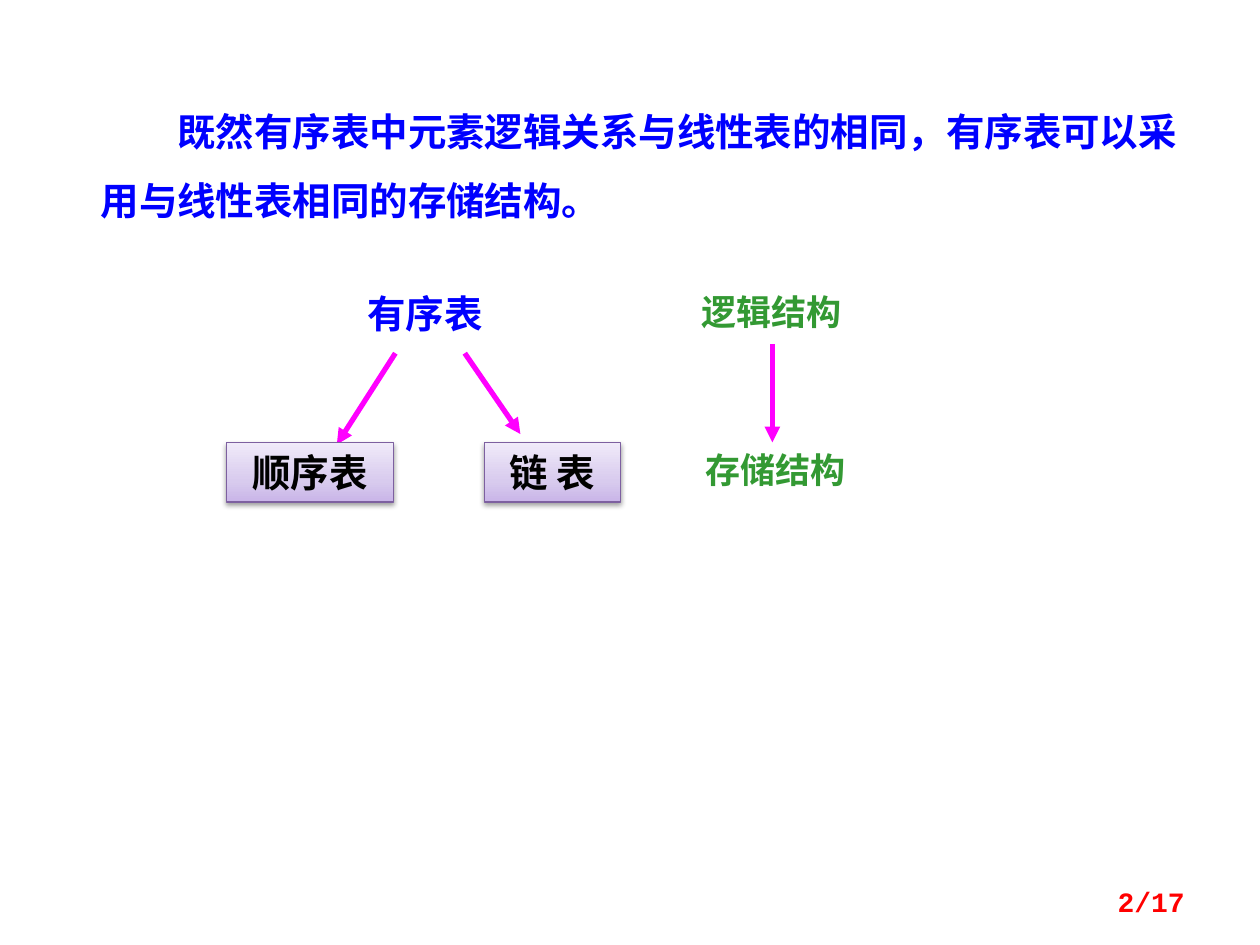
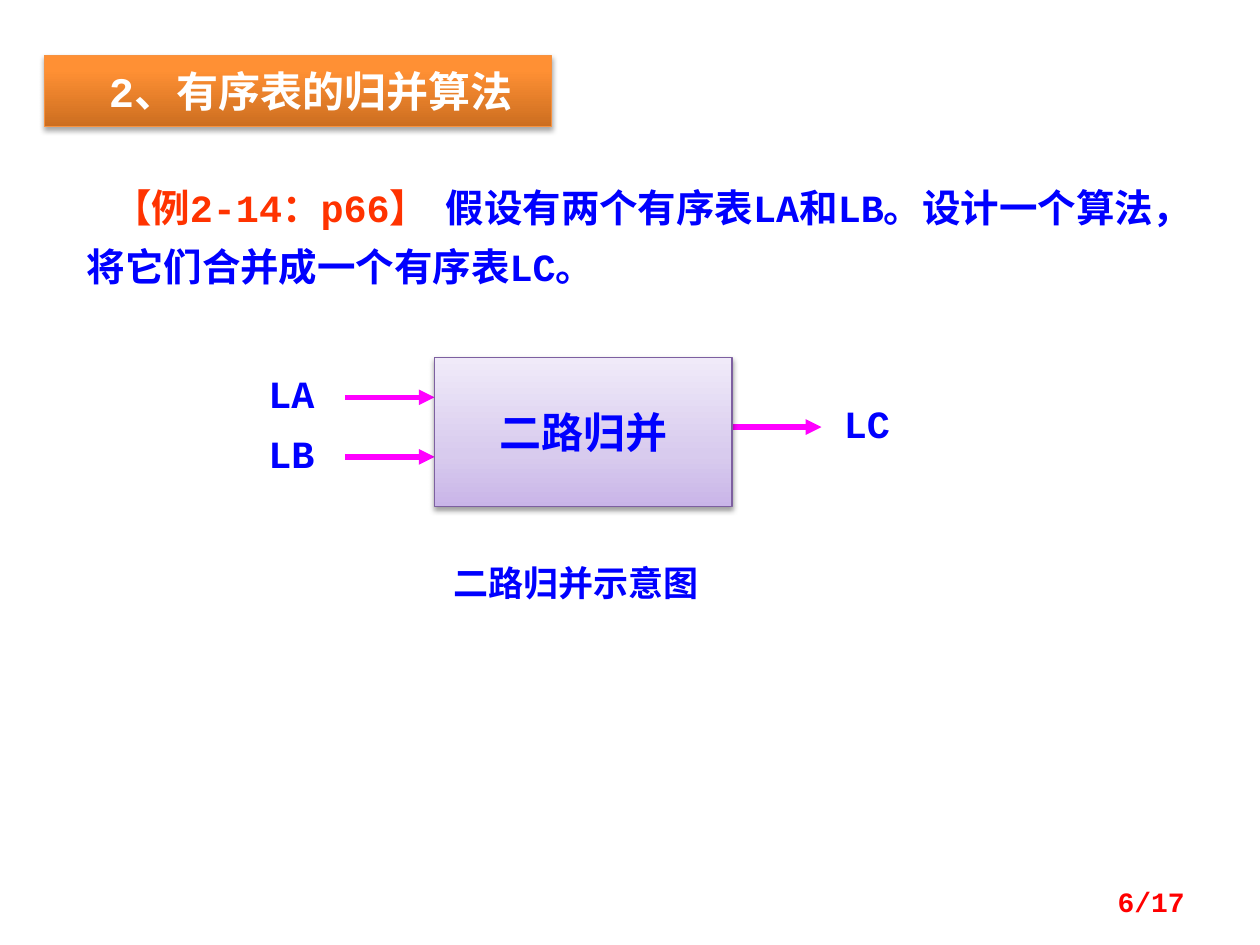
from pptx import Presentation
from pptx.dml.color import RGBColor
from pptx.enum.shapes import MSO_CONNECTOR, MSO_SHAPE
from pptx.enum.text import MSO_ANCHOR, PP_ALIGN
from pptx.oxml import parse_xml
from pptx.oxml.ns import nsdecls, qn
from pptx.util import Cm, Pt

RECT, STRAIGHT = MSO_SHAPE.RECTANGLE, MSO_CONNECTOR.STRAIGHT
LEFT, CENTER, RIGHT = PP_ALIGN.LEFT, PP_ALIGN.CENTER, PP_ALIGN.RIGHT
TOP, MIDDLE = MSO_ANCHOR.TOP, MSO_ANCHOR.MIDDLE

BLUE = RGBColor(0x00, 0x00, 0xFF)
GREEN = RGBColor(0x33, 0x99, 0x33)
MAGENTA = RGBColor(0xFF, 0x00, 0xFF)
RED = RGBColor(0xFF, 0x00, 0x00)
ORANGE_RED = RGBColor(0xFF, 0x33, 0x00)
BLACK = RGBColor(0x00, 0x00, 0x00)
WHITE = RGBColor(0xFF, 0xFF, 0xFF)
PURPLE_LINE = RGBColor(0x7D, 0x60, 0xA0)
ORANGE_LINE = RGBColor(0xF6, 0x92, 0x40)

# Gradient stops run from bottom to top
PURPLE = {"stops": [(0, "C9B5E8"), (35, "D8CBEE"), (100, "F0EAF9")],
          "line": PURPLE_LINE, "alpha": 38, "dist": 1.6}
ORANGE = {"stops": [(0, "CC6E20"), (80, "FF9034"), (100, "FF9136")],
          "line": ORANGE_LINE, "alpha": 35, "dist": 1.8}

TIMES_22 = {"name": "Times New Roman", "size": Pt(22), "bold": True}
TIMES_20 = {**TIMES_22, "size": Pt(20)}
CALIBRI_22 = {**TIMES_22, "name": "Calibri"}
COURIER_22 = {**TIMES_22, "name": "Courier New"}
COURIER_24 = {**COURIER_22, "size": Pt(24)}
COURIER_20 = {**COURIER_22, "size": Pt(20)}
COURIER_16 = {**COURIER_22, "size": Pt(16)}


def write(sp, runs, fmt, align=LEFT, anchor=TOP):
    tf = sp.text_frame
    tf.word_wrap = True
    tf.vertical_anchor = anchor
    p = tf.paragraphs[0]
    p.alignment = align
    for text, color in runs:
        r = p.add_run()
        r.text = text
        for name, value in fmt.items():
            setattr(r.font, name, value)
        r.font.color.rgb = color
    return p


def shade(sp, look):
    spPr = sp._element.spPr
    stops = "".join(f'<a:gs pos="{pos * 1000}"><a:srgbClr val="{color}"/></a:gs>'
                    for pos, color in look["stops"])
    spPr.append(parse_xml(f'<a:gradFill {nsdecls("a")} rotWithShape="1"><a:gsLst>{stops}'
                          '</a:gsLst><a:lin ang="16200000" scaled="0"/></a:gradFill>'))
    sp.line.color.rgb = look["line"]
    sp.line.width = Pt(0.75)
    sp.shadow.inherit = False
    spPr.find(qn("a:effectLst")).append(parse_xml(
        f'<a:outerShdw {nsdecls("a")} blurRad="{Pt(3.1)}" dist="{Pt(look["dist"])}" '
        'dir="5400000" rotWithShape="0"><a:srgbClr val="000000">'
        f'<a:alpha val="{look["alpha"] * 1000}"/></a:srgbClr></a:outerShdw>'))


prs = Presentation()
prs.slide_width, prs.slide_height = Cm(25.4), Cm(19.05)
storage = prs.slides.add_slide(prs.slide_layouts[6])
merge = prs.slides.add_slide(prs.slide_layouts[5])

# Merge slide: title band
sp = merge.shapes.title
sp.left, sp.top, sp.width, sp.height = Cm(0.89), Cm(1.12), Cm(10.23), Cm(1.43)
shade(sp, ORANGE)
p = write(sp, [("2、有序表的归并算法", WHITE)], COURIER_24)
p._p.get_or_add_pPr().set("marL", str(Cm(1.05)))
sp.text_frame.margin_top = sp.text_frame.margin_bottom = Cm(0.2)

# Opening paragraphs
sp = storage.shapes.add_textbox(Cm(1.78), Cm(1.59), Cm(22.43), Cm(2.9))
p = write(sp, [("既然有序表中元素逻辑关系与线性表的相同，有序表可以采用与线性表相同的存储结构。", BLUE)],
          TIMES_22)
p.line_spacing = 1.5
p._p.get_or_add_pPr().set("indent", str(Cm(1.55)))

sp = merge.shapes.add_textbox(Cm(1.5), Cm(3.31), Cm(23.39), Cm(2.54))
p = write(sp, [("【例2-14：p66】", ORANGE_RED), (" ", ORANGE_RED),
               ("假设有两个有序表LA和LB。设计一个算法，将它们合并成一个有序表LC。", BLUE)], COURIER_22)
p.line_spacing = Pt(34)
p._p.get_or_add_pPr().set("indent", str(Cm(0.53)))
p.runs[1]._r.get_or_add_rPr().set("spc", "500")  # widen the gap after the bracket

# Arrows: start x, start y, end x, end y
for s, *ends in [
    (storage, 7.97, 7.12, 6.79, 8.96),
    (storage, 9.37, 7.12, 10.49, 8.75),
    (storage, 15.57, 6.93, 15.57, 8.92),
    (merge, 6.96, 8.01, 8.76, 8.01),
    (merge, 6.96, 9.21, 8.76, 9.21),
    (merge, 14.77, 8.61, 16.56, 8.61),
]:
    arrow = s.shapes.add_connector(STRAIGHT, *map(Cm, ends))
    arrow.line.color.rgb = MAGENTA
    arrow.line.width = Pt(3)
    spPr = arrow._element.spPr
    spPr.find(qn("a:ln")).append(parse_xml(f'<a:tailEnd {nsdecls("a")} type="triangle"/>'))
    spPr.append(parse_xml(f'<a:effectLst {nsdecls("a")}/>'))

# Purple boxes
for s, text, color, fmt, anchor, *place in [
    (storage, "顺序表", BLACK, CALIBRI_22, TOP, 4.57, 8.92, 3.37, 1.2),
    (storage, "链 表", BLACK, CALIBRI_22, TOP, 9.77, 8.92, 2.74, 1.2),
    (merge, "二路归并", BLUE, COURIER_24, MIDDLE, 8.76, 7.21, 6, 3),
]:
    sp = s.shapes.add_shape(RECT, *map(Cm, place))
    shade(sp, PURPLE)
    write(sp, [(text, color)], fmt, CENTER, anchor)

# Labels and caption
for s, text, color, fmt, align, *place in [
    (storage, "有序表", BLUE, TIMES_22, LEFT, 7.16, 5.72, 5.21, 1.19),
    (storage, "逻辑结构", GREEN, TIMES_20, LEFT, 13.89, 5.73, 3.76, 1.09),
    (storage, "存储结构", GREEN, TIMES_20, LEFT, 13.97, 8.92, 3.99, 1.09),
    (merge, "LA", BLUE, COURIER_22, LEFT, 5.16, 7.34, 2.59, 1.19),
    (merge, "LB", BLUE, COURIER_22, LEFT, 5.16, 8.54, 2.59, 1.19),
    (merge, "LC", BLUE, COURIER_22, LEFT, 16.76, 7.94, 2.59, 1.19),
    (merge, "二路归并示意图", BLUE, COURIER_20, CENTER, 7.92, 11.2, 7.39, 1.09),
]:
    sp = s.shapes.add_textbox(*map(Cm, place))
    write(sp, [(text, color)], fmt, align)

# Page numbers
for s, number in [(storage, 2), (merge, 6)]:
    sp = s.shapes.add_textbox(Cm(18.21), Cm(17.65), Cm(5.92), Cm(1.02))
    write(sp, [(f"{number}/17", RED)], COURIER_16, RIGHT, MIDDLE)

prs.save("out.pptx")
